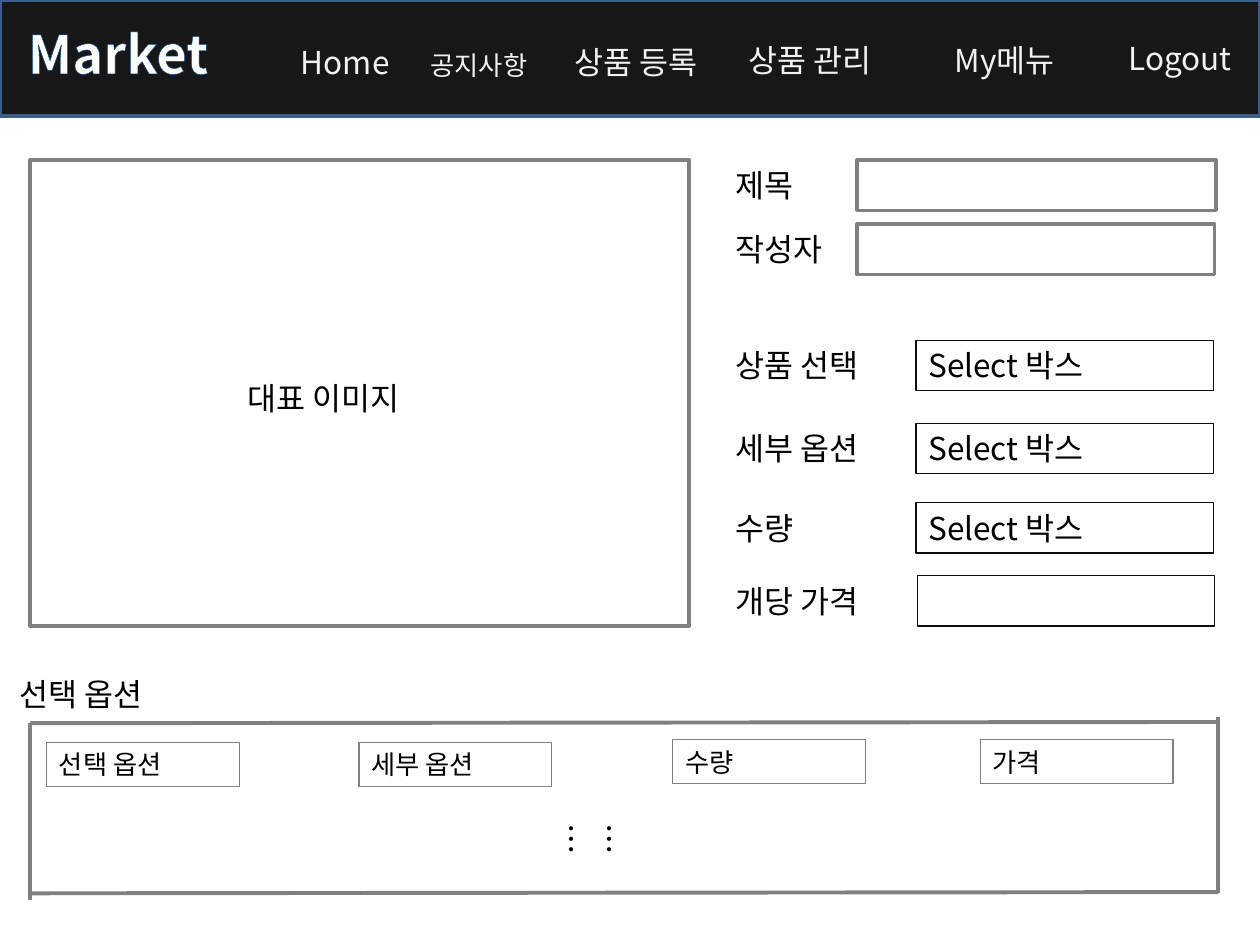
from dataclasses import dataclass
from typing import Optional

from lxml.etree import SubElement
from pptx import Presentation
from pptx.dml.color import RGBColor
from pptx.enum.shapes import MSO_CONNECTOR, MSO_SHAPE
from pptx.enum.text import MSO_AUTO_SIZE, PP_ALIGN
from pptx.oxml.ns import qn
from pptx.util import Inches, Pt

FONT = "Noto Sans CJK KR"
BLACK, WHITE, GRAY, DARK, PALE = "000000", "FFFFFF", "808080", "0D0D0D", "F2F2F2"
COLS, ROWS = 100, 75  # grid laid over the slide
LINE_H = 4.0  # rows taken by one line of 18 pt text
SMALL_H = 3.5  # rows taken by one line of 15 pt text

prs = Presentation()
prs.slide_width, prs.slide_height = Inches(10), Inches(7.5)
s = prs.slides.add_slide(prs.slide_layouts[6])


@dataclass
class Box:
    col: float
    row: float
    cols: float
    rows: float = LINE_H

    def emu(self) -> tuple:
        return x(self.col), y(self.row), x(self.cols), y(self.rows)


@dataclass
class Label:
    text: str
    box: Box
    size: float = 18


@dataclass
class Field:
    label: str
    row: float
    col: float
    cols: float
    line: str
    weight: float
    fill: Optional[str] = None
    value: str = ""


def x(cols: float) -> int:
    return round(prs.slide_width * cols / COLS)


def y(rows: float) -> int:
    return round(prs.slide_height * rows / ROWS)


def color(value: str) -> RGBColor:
    return RGBColor.from_string(value)


def set_line(sp, line: str, weight: float) -> None:
    sp.line.color.rgb = color(line)
    sp.line.width = Pt(weight)


def add_rect(box: Box, line: str, weight: float, fill: Optional[str] = None):
    sp = s.shapes.add_shape(MSO_SHAPE.RECTANGLE, *box.emu())
    sp.shadow.inherit = False
    if fill:
        sp.fill.solid()
        sp.fill.fore_color.rgb = color(fill)
    else:
        sp.fill.background()
    set_line(sp, line, weight)
    return sp


def add_text(text: str, box: Box, *, size: float = 18, fill: str = BLACK,
             bold: bool = False, line: Optional[str] = None,
             outline: Optional[str] = None, vertical: bool = False):
    sp = s.shapes.add_textbox(*box.emu())
    if line:
        set_line(sp, line, 0.75)
    tf = sp.text_frame
    tf.word_wrap = True
    tf.auto_size = MSO_AUTO_SIZE.SHAPE_TO_FIT_TEXT
    if vertical:
        tf._txBody.bodyPr.set("vert", "eaVert")
    p = tf.paragraphs[0]
    p.alignment = PP_ALIGN.LEFT
    r = p.add_run()
    r.text = text
    r.font.size, r.font.bold, r.font.name = Pt(size), bold, FONT
    r.font.color.rgb = color(fill)
    rPr = r.font._element
    SubElement(rPr, qn("a:ea")).set("typeface", FONT)
    if outline:
        ln = rPr.makeelement(qn("a:ln"), {"w": str(Pt(1))})
        SubElement(SubElement(ln, qn("a:solidFill")), qn("a:srgbClr")).set("val", outline)
        rPr.insert(0, ln)
    return sp


def add_line(col1: float, row1: float, col2: float, row2: float) -> None:
    cn = s.shapes.add_connector(MSO_CONNECTOR.STRAIGHT, x(col1), y(row1), x(col2), y(row2))
    set_line(cn, GRAY, 2.25)
    SubElement(cn._element.spPr, qn("a:effectLst"))


def add_field(field: Field) -> None:
    add_text(field.label, Box(57.4, field.row, 15.3))
    box = Box(field.col, field.row, field.cols)
    if field.value:
        add_text(field.value, box, line=field.line)
    else:
        add_rect(box, field.line, field.weight, field.fill)


# Navigation bar
add_rect(Box(0, 0, COLS, 9.2), "3A5F8C", 2, "171717")
add_text("Market", Box(1.2, 1.2, 22.8, 6.1), size=30, fill=WHITE, bold=True, outline="054697")
MENU = [
    Label("Home", Box(22.9, 2.9, 10.2)),
    Label("공지사항", Box(33.2, 3.4, 11.8, SMALL_H), 15),
    Label("상품 등록", Box(44.6, 2.9, 13.6)),
    Label("상품 관리", Box(58.4, 2.8, 13.6)),
    Label("My메뉴", Box(74.8, 2.8, 13.4)),
    Label("Logout", Box(88.6, 2.6, 10.2)),
]
for item in MENU:
    add_text(item.text, item.box, size=item.size, fill=PALE)

# Main image area
add_rect(Box(2.4, 12.7, 52.3, 37), GRAY, 2, WHITE)
add_text("대표 이미지", Box(18.7, 29.6, 19.7))

# Product form
FIELDS = [
    Field("제목", 12.7, 68, 28.5, GRAY, 2, WHITE),
    Field("작성자", 17.8, 68, 28.4, GRAY, 2, WHITE),
    Field("상품 선택", 27, 72.7, 23.6, DARK, 0.75, value="Select 박스"),
    Field("세부 옵션", 33.6, 72.7, 23.6, DARK, 0.75, value="Select 박스"),
    Field("수량", 39.9, 72.7, 23.6, DARK, 0.75, value="Select 박스"),
    Field("개당 가격", 45.7, 72.8, 23.6, DARK, 0.75),
]
for field in FIELDS:
    add_field(field)

# Selected options: heading and frame
LEFT, RIGHT, TOP, BOTTOM = 2.4, 96.7, 57.4, 70.9
add_text("선택 옵션", Box(0.6, 53.1, 15.3))
add_line(LEFT, TOP, LEFT, BOTTOM + 0.5)
add_line(RIGHT, TOP - 0.5, RIGHT, BOTTOM)
for row in (TOP, BOTTOM):
    add_line(LEFT, row, RIGHT, row - 0.1)

# Selected options: columns and continuation dots
OPTIONS = [("선택 옵션", 3.7, 58.9), ("세부 옵션", 28.5, 58.9),
           ("수량", 53.4, 58.7), ("가격", 77.8, 58.7)]
for text, col, row in OPTIONS:
    add_text(text, Box(col, row, 15.3, SMALL_H), size=15, line=GRAY)
add_text("……", Box(45.4, 64.4, 5, 4.8), vertical=True)

prs.save("out.pptx")
